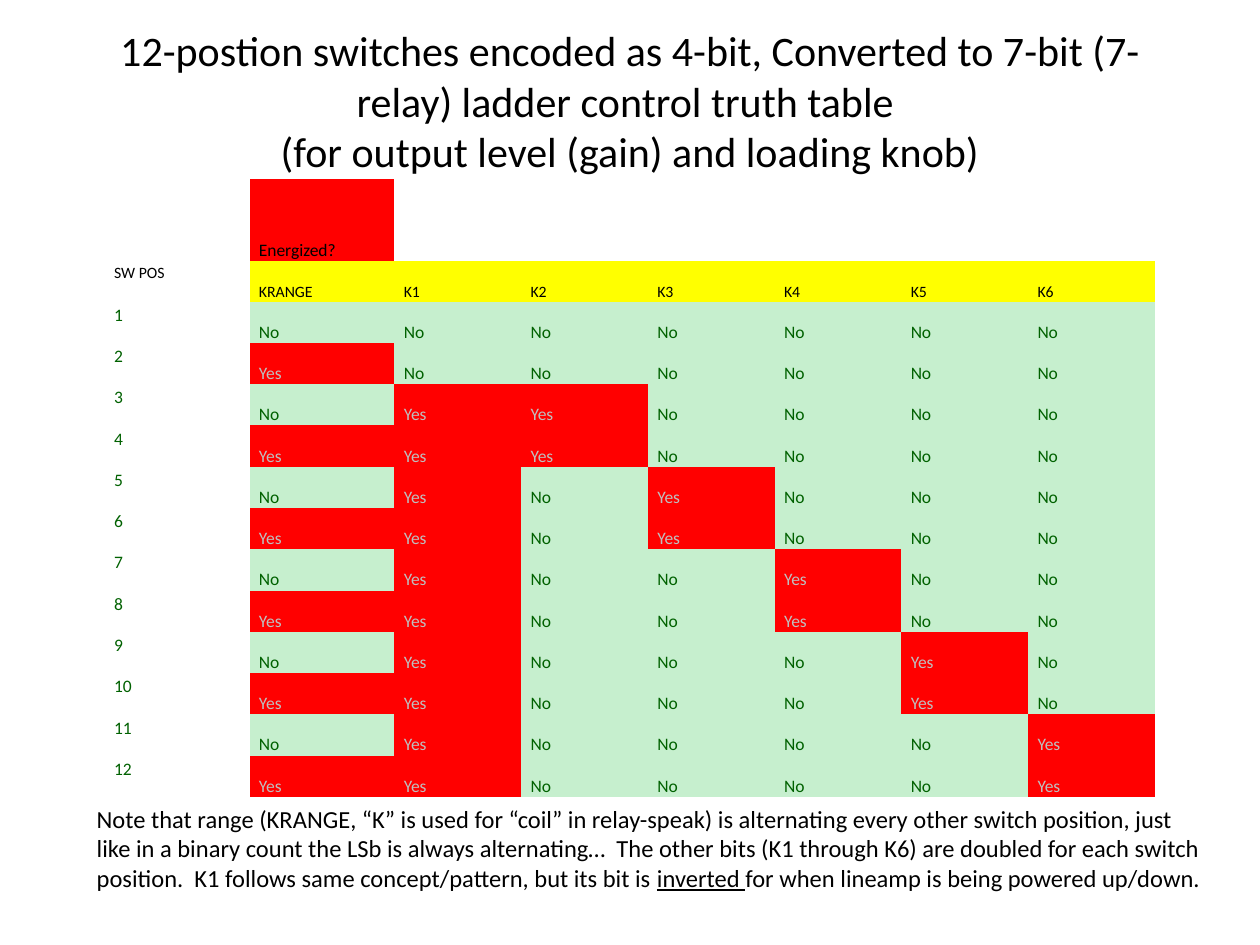
from pptx import Presentation
from pptx.dml.color import RGBColor
from pptx.enum.text import MSO_ANCHOR, MSO_AUTO_SIZE, PP_ALIGN
from pptx.util import Cm, Pt

TOP, MIDDLE, BOTTOM = MSO_ANCHOR.TOP, MSO_ANCHOR.MIDDLE, MSO_ANCHOR.BOTTOM
CENTER = PP_ALIGN.CENTER
NO_AUTOFIT = MSO_AUTO_SIZE.NONE

FONT = "Calibri"
COLORS = {
    "black": "000000",
    "energized": "FF0000",
    "energized_text": "BFBFBF",
    "idle": "C6EFCE",
    "idle_text": "006100",
    "header": "FFFF00",
}
TITLE_ONLY = 5
NO_STYLE_NO_GRID = "{2D5ABB26-0587-4C30-8999-92F81FD0307C}"

TITLE = (
    "12-postion switches encoded as 4-bit, Converted to 7-bit (7-relay) "
    "ladder control truth table \v(for output level (gain) and loading knob)"
)
RELAYS = ["KRANGE", "K1", "K2", "K3", "K4", "K5", "K6"]
POSITIONS = 12
NOTE_RUNS = [
    ("Note that range (KRANGE, “K” is used for “coil” in relay-speak) is "
     "alternating every other switch position, just like in a binary count the "
     "LSb is always alternating…  The other bits (K1 through K6) are doubled "
     "for each switch position.  K1 follows same concept/pattern, but its bit is ",
     False),
    ("inverted ", True),
    ("for when lineamp is being powered up/down.", False),
]


def color(name):
    return RGBColor.from_string(COLORS[name])


def format_paragraph(paragraph, size, color_name):
    font = paragraph.font
    font.name, font.size = FONT, Pt(size)
    font.color.rgb = color(color_name)


def add_title(slide, left, top, width, height):
    title = slide.shapes.title
    title.left, title.top, title.width, title.height = left, top, width, height
    frame = title.text_frame
    frame.auto_size = NO_AUTOFIT
    frame.vertical_anchor = MIDDLE
    paragraph = frame.paragraphs[0]
    paragraph.text = TITLE
    paragraph.alignment = CENTER
    format_paragraph(paragraph, 24, "black")


def is_energized(relay, position):
    """KRANGE alternates, K1 stays on from position 3, K2 to K6 each take one pair."""
    pair = (position - 1) // 2
    if relay == 0:
        return position % 2 == 0
    if relay == 1:
        return pair >= 1
    return pair == relay - 1


def fill_cell(cell, text, size, text_color, fill=None, anchor=BOTTOM):
    cell.margin_left = cell.margin_right = Cm(0.19)
    cell.margin_top = cell.margin_bottom = 0
    cell.vertical_anchor = anchor
    if fill:
        cell.fill.solid()
        cell.fill.fore_color.rgb = color(fill)
    paragraph = cell.text_frame.paragraphs[0]
    paragraph.text = text
    paragraph.line_spacing = 1.15
    format_paragraph(paragraph, size, text_color)


def add_truth_table(slide, left, top, width, height):
    frame = slide.shapes.add_table(
        POSITIONS + 2, len(RELAYS) + 1, left, top, width, height)
    table = frame.table
    table.first_row = table.horz_banding = False
    properties = table._tbl.tblPr
    properties.find("{*}tableStyleId").text = NO_STYLE_NO_GRID

    wide, caption_height, header_height = Cm(2.92), Cm(1.66), Cm(0.82)
    for index, column in enumerate(table.columns):
        column.width = wide if index < 2 else (width - 2 * wide) // 6
    position_height = (height - caption_height - header_height) // POSITIONS
    for index, row in enumerate(table.rows):
        row.height = position_height
    table.rows[0].height, table.rows[1].height = caption_height, header_height

    for cell in table.iter_cells():
        cell.fill.background()
    fill_cell(table.cell(0, 1), "Energized?", 10, "black", "energized")
    fill_cell(table.cell(1, 0), "SW POS", 9, "black", anchor=TOP)
    for relay, name in enumerate(RELAYS):
        fill_cell(table.cell(1, relay + 1), name, 9, "black", "header")
    for position in range(1, POSITIONS + 1):
        row = position + 1
        fill_cell(table.cell(row, 0), str(position), 10, "idle_text", anchor=TOP)
        for relay in range(len(RELAYS)):
            energized = is_energized(relay, position)
            text, state = ("Yes", "energized") if energized else ("No", "idle")
            fill_cell(table.cell(row, relay + 1), text, 10, state + "_text", state)


def add_note(slide, left, top, width, height):
    frame = slide.shapes.add_textbox(left, top, width, height).text_frame
    frame.word_wrap = True
    paragraph = frame.paragraphs[0]
    for text, underlined in NOTE_RUNS:
        run = paragraph.add_run()
        run.text = text
        if underlined:
            run.font.underline = True
    format_paragraph(paragraph, 14, "black")


def main():
    presentation = Presentation()
    presentation.slide_width, presentation.slide_height = Cm(25.4), Cm(19.05)
    slide = presentation.slides.add_slide(presentation.slide_layouts[TITLE_ONLY])
    add_title(slide, Cm(1.27), Cm(0.43), Cm(22.86), Cm(3.18))
    add_truth_table(slide, Cm(2.11), Cm(3.6), Cm(21.17), Cm(12.47))
    add_note(slide, Cm(1.7), Cm(16.08), Cm(22.86), Cm(2.06))
    presentation.save("out.pptx")


if __name__ == "__main__":
    main()
